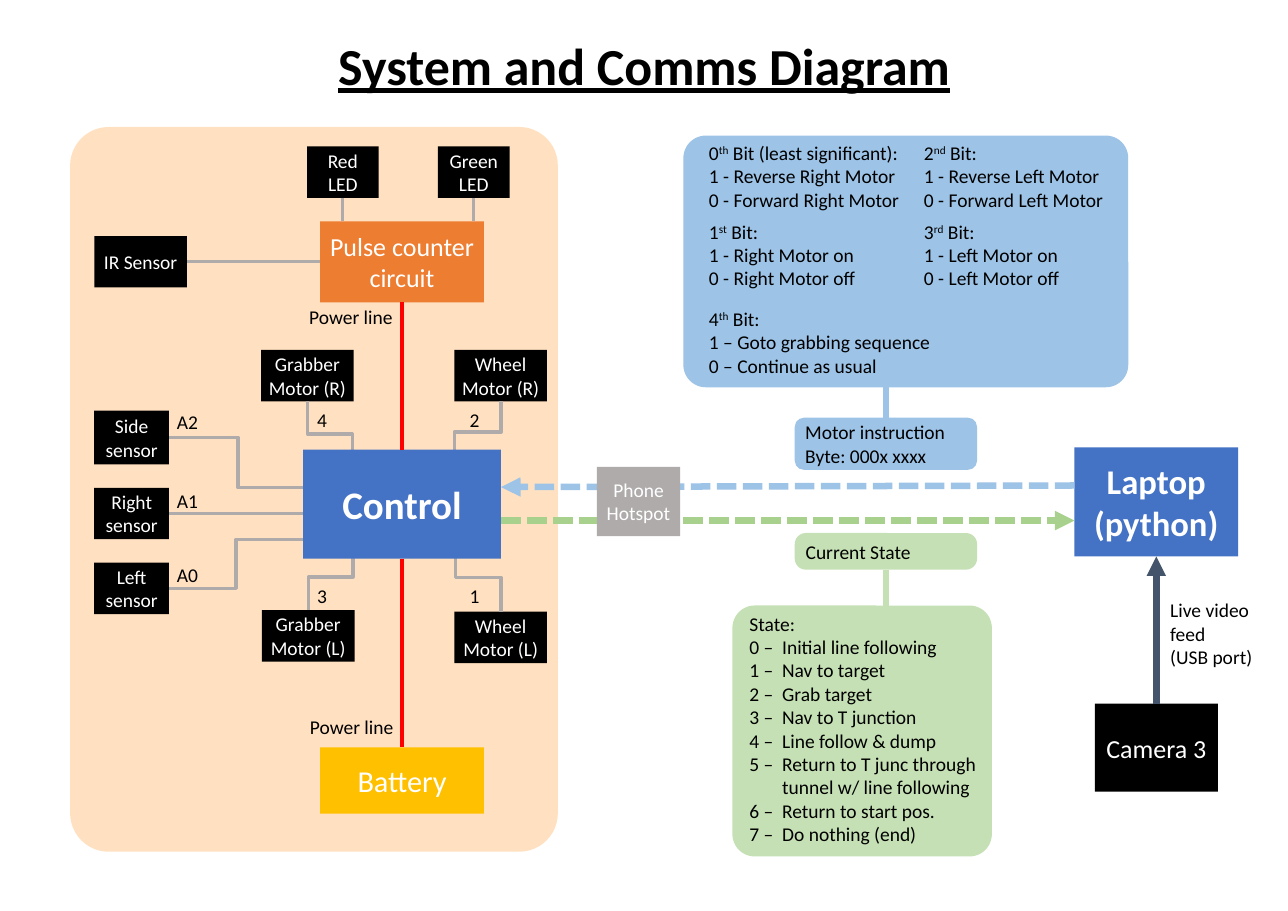
import pptx
import pptx.util
import pptx.dml.color
import pptx.enum.dml
import pptx.enum.shapes
import pptx.enum.text
import pptx.oxml
import pptx.oxml.ns

Inches = pptx.util.Inches
Pt = pptx.util.Pt
SHAPE = pptx.enum.shapes.MSO_SHAPE
LINK = pptx.enum.shapes.MSO_CONNECTOR
ALIGN = pptx.enum.text.PP_ALIGN
ANCHOR = pptx.enum.text.MSO_ANCHOR
qn = pptx.oxml.ns.qn

C = {"black": "000000", "white": "FFFFFF", "panel": "FFE1C1", "blue": "9DC3E6",
     "green": "C5E0B4", "arrow": "A9D18E", "node": "4472C4", "gold": "FFC000",
     "orange": "ED7D31", "gray": "AFABAB", "slate": "44546A", "red": "FF0000"}
TOP, LEFT, BOTTOM, RIGHT = range(4)


def rgb(name):
    """Return a palette colour."""
    return pptx.dml.color.RGBColor.from_string(C[name])


def write(tf, lines, size=18, color="black", bold=False, align=None):
    """Fill a text frame; text between carets is superscript."""
    for i, line in enumerate(lines):
        p = tf.paragraphs[0] if i == 0 else tf.add_paragraph()
        p.alignment = align
        for j, part in enumerate(line.split("^")):
            r = p.add_run()
            r.text = part
            r.font.name, r.font.size, r.font.bold = "Calibri", Pt(size), bold
            r.font.color.rgb = rgb(color)
            if j % 2:
                r._r.get_or_add_rPr().set("baseline", "30000")


def block(s, x, y, w, h, fill, lines=(), size=18, color="white", bold=False,
          align=ALIGN.CENTER, adj=None):
    """Add a filled box, rounded when adj is given."""
    kind = SHAPE.RECTANGLE if adj is None else SHAPE.ROUNDED_RECTANGLE
    sp = s.shapes.add_shape(kind, Inches(x), Inches(y), Inches(w), Inches(h))
    if adj is not None:
        sp.adjustments[0] = adj
    sp.shadow.inherit = False
    sp.fill.solid()
    sp.fill.fore_color.rgb = rgb(fill)
    sp.line.fill.background()
    sp.text_frame.word_wrap = True
    sp.text_frame.vertical_anchor = ANCHOR.MIDDLE
    write(sp.text_frame, lines, size, color, bold, align)
    return sp


def label(s, x, y, w, h, lines, wrap=False):
    """Add a plain text box."""
    tf = s.shapes.add_textbox(Inches(x), Inches(y), Inches(w), Inches(h)).text_frame
    tf.word_wrap = wrap
    write(tf, lines)
    return tf


def line(s, x1, y1, x2, y2, color="gray", width=3, kind=LINK.STRAIGHT,
         dash=False, arrow=False, start=None, end=None):
    """Add a connector, joined to (shape, side) pairs where given."""
    c = s.shapes.add_connector(kind, *(Inches(v) for v in (x1, y1, x2, y2)))
    if start:
        c.begin_connect(*start)
    if end:
        c.end_connect(*end)
    c.line.color.rgb = rgb(color)
    c.line.width = Pt(width)
    if dash:
        c.line.dash_style = pptx.enum.dml.MSO_LINE.SQUARE_DOT
    spPr = c._element.spPr
    if arrow:
        tail = pptx.oxml.parse_xml(f'<a:tailEnd {pptx.oxml.ns.nsdecls("a")} type="triangle"/>')
        spPr.find(qn("a:ln")).append(tail)
    spPr.append(pptx.oxml.parse_xml(f'<a:effectLst {pptx.oxml.ns.nsdecls("a")}/>'))
    return c


def drop(s, x1, y1, x2, y2):
    """Add an elbow that leaves and arrives vertically."""
    cx, cy, half = (x1 + x2) / 2, (y1 + y2) / 2, abs(x2 - x1) / 2
    reach = (y2 - y1) / 2 * (-1 if x2 > x1 else 1)
    c = line(s, cx - reach, cy - half, cx + reach, cy + half, kind=LINK.ELBOW)
    c._element.spPr.find(qn("a:xfrm")).set("rot", str((270 if x2 > x1 else 90) * 60000))


def title(s, x, y, w, h):
    """Format the slide title."""
    t = s.shapes.title
    t.left, t.top, t.width, t.height = (Inches(v) for v in (x, y, w, h))
    t.text_frame.word_wrap = False
    t.text_frame.vertical_anchor = ANCHOR.MIDDLE
    write(t.text_frame, ["System and Comms Diagram"], 48, bold=True, align=ALIGN.CENTER)
    t.text_frame.paragraphs[0].runs[0].font.underline = True


def robot(s, x, y, w, h):
    """Draw the robot panel with its boards, sensors and motors."""
    block(s, x, y, w, h, "panel", adj=0.079)
    devices = [("Left sensor", 0.31, 5.59, 0.96, 0.66), ("Right sensor", 0.31, 4.63, 0.96, 0.66),
               ("Side sensor", 0.31, 3.64, 0.96, 0.69), ("Grabber Motor (R)", 2.45, 2.86, 1.19, 0.66),
               ("Grabber Motor (L)", 2.46, 6.2, 1.19, 0.66), ("Wheel Motor (L)", 4.93, 6.22, 1.19, 0.66),
               ("Wheel Motor (R)", 4.93, 2.86, 1.19, 0.66), ("IR Sensor", 0.31, 1.4, 1.19, 0.66),
               ("Red LED", 3.04, 0.25, 0.92, 0.66), ("Green LED", 4.72, 0.25, 0.92, 0.66)]
    dev = {name: block(s, x + dx, y + dy, dw, dh, "black", [name])
           for name, dx, dy, dw, dh in devices}
    for x1, y1, x2, y2 in [(1.27, 3.98, 3.04, 4.63), (1.27, 5.92, 2.99, 5.29)]:
        line(s, x + x1, y + y1, x + x2, y + y2, kind=LINK.ELBOW)
    for x1, y1, x2, y2 in [(3.05, 3.52, 3.62, 4.36), (5.53, 3.52, 4.93, 4.31),
                           (3.63, 5.35, 3.06, 6.2), (4.95, 5.34, 5.53, 6.22)]:
        drop(s, x + x1, y + y1, x + x2, y + y2)
    battery = block(s, x + 3.21, y + 7.96, 2.1, 0.85, "gold", ["Battery"], 28)
    board = block(s, x + 2.99, y + 4.14, 2.54, 1.4, "node", ["Control"], 36, bold=True)
    pulse = block(s, x + 3.21, y + 1.21, 2.1, 1.04, "orange", ["Pulse counter circuit"], 24)
    for name, dx in [("Red LED", 3.5), ("Green LED", 5.18)]:
        line(s, x + dx, y + 0.91, x + dx, y + 1.21, start=(dev[name], BOTTOM))
    line(s, x + 1.5, y + 1.73, x + 3.21, y + 1.73,
         start=(dev["IR Sensor"], RIGHT), end=(pulse, LEFT))
    line(s, x + 1.27, y + 4.96, x + 2.99, y + 4.96, start=(dev["Right sensor"], RIGHT))
    for upper, lower, y1, y2 in [(pulse, board, 2.25, 4.14), (board, battery, 5.54, 7.96)]:
        line(s, x + 4.26, y + y1, x + 4.26, y + y2, "red",
             start=(upper, BOTTOM), end=(lower, TOP))
    for text, dx, dy, dw in [("A2", 1.27, 3.58, 0.52), ("A1", 1.27, 4.6, 0.52),
                             ("A0", 1.27, 5.55, 0.52), ("4", 3.07, 3.56, 0.35),
                             ("3", 3.07, 5.81, 0.35), ("2", 5.03, 3.56, 0.35),
                             ("1", 5.03, 5.81, 0.35), ("Power line", 2.97, 2.24, 1.45),
                             ("Power line", 2.98, 7.5, 1.45)]:
        label(s, x + dx, y + dy, dw, 0.45, [text])


def instruction(s, x, y, w, h):
    """Draw the motor instruction byte and the meaning of its bits."""
    byte = block(s, x + 1.43, y + 3.62, 2.34, 0.67, "blue", ["Motor instruction Byte: 000x xxxx"],
                 color="black", align=ALIGN.LEFT, adj=0.177)
    line(s, x + 2.6, y + 3.62, x + 2.6, y + h, "blue", 6, start=(byte, TOP))
    block(s, x, y, w, h, "blue", adj=0.089)
    bits = [(0.23, 0.02, 3.05, "0^th^ Bit (least significant):", "1 - Reverse Right Motor", "0 - Forward Right Motor"),
            (0.23, 1.03, 2.39, "1^st^ Bit:", "1 - Right Motor on", "0 - Right Motor off"),
            (2.99, 0.02, 2.89, "2^nd^ Bit:", "1 - Reverse Left Motor", "0 - Forward Left Motor"),
            (2.99, 1.03, 2.24, "3^rd^ Bit:", "1 - Left Motor on", "0 - Left Motor off"),
            (0.23, 2.15, 3.51, "4^th^ Bit:", "1 – Goto grabbing sequence", "0 – Continue as usual")]
    for dx, dy, dw, *lines in bits:
        label(s, x + dx, y + dy, dw, 1.15, lines)


def state(s, x, y, w, h):
    """Draw the current state message and its list of values."""
    current = block(s, x + 0.8, y - 0.93, 2.34, 0.47, "green", ["Current State"],
                    color="black", align=ALIGN.LEFT, adj=0.303)
    block(s, x, y, w, h, "green", adj=0.089)
    line(s, x + 1.97, y - 0.46, x + 1.97, y + 0.06, "green", 6, start=(current, BOTTOM))
    states = ["Initial line following", "Nav to target", "Grab target", "Nav to T junction",
              "Line follow & dump", "Return to T junc through tunnel w/ line following",
              "Return to start pos.", "Do nothing (end)"]
    tf = label(s, x + 0.12, y + 0.03, 3.2, 3.13,
               ["State:"] + [f"{i} –\t{text}" for i, text in enumerate(states)], True)
    for p in tf.paragraphs[1:]:
        pPr = p._p.get_or_add_pPr()
        pPr.set("marL", str(Inches(0.42)))
        pPr.set("indent", str(-Inches(0.42)))


def laptop(s, x, y, w, h):
    """Draw the laptop with the camera that feeds it."""
    pc = block(s, x, y, w, h, "node", ["Laptop", "(python)"], 32, bold=True)
    camera = block(s, x + 0.26, y + 3.29, 1.58, 1.13, "black", ["Camera 3"], 24)
    line(s, x + 1.05, y + 3.29, x + 1.05, y + h, "slate", 6, arrow=True,
         start=(camera, TOP), end=(pc, BOTTOM))
    label(s, x + 1.13, y + 1.89, 1.32, 1.06, ["Live video feed", "(USB port)"], True)


def wireless(s, x, y, w, h):
    """Draw both wireless links and the hotspot they pass through."""
    line(s, x, y + 0.69, x + w, y + 0.69, "arrow", 6, dash=True, arrow=True)
    line(s, x + w, y + 0.24, x, y + 0.26, "blue", 6, dash=True, arrow=True)
    block(s, x + 1.23, y, 1.07, h, "gray", ["Phone Hotspot"])


def main():
    """Build and save the slide."""
    prs = pptx.Presentation()
    prs.slide_width, prs.slide_height = Inches(16.53), Inches(11.69)
    s = prs.slides.add_slide(prs.slide_layouts[5])
    title(s, 4.2, 0.37, 8.14, 0.91)
    robot(s, 0.9, 1.63, 6.26, 9.3)
    instruction(s, 8.77, 1.74, 5.71, 3.23)
    state(s, 9.4, 7.77, 3.33, 3.22)
    laptop(s, 13.79, 5.74, 2.1, 1.4)
    wireless(s, 6.43, 5.99, 7.36, 0.89)
    prs.save("out.pptx")


if __name__ == "__main__":
    main()
